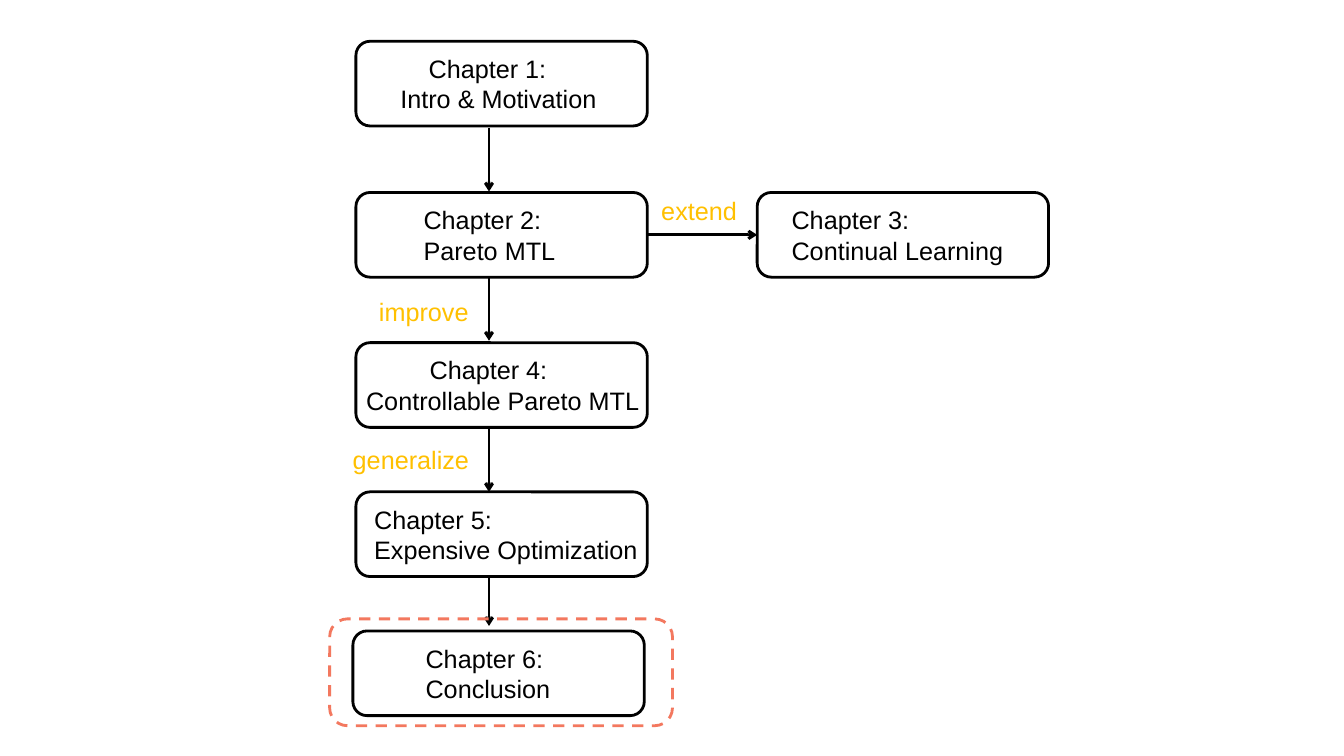
"""Build a chapter roadmap slide with boxes, arrows and relation labels."""
from dataclasses import dataclass

from lxml import etree
from pptx import Presentation
from pptx import util as u
from pptx.dml.color import RGBColor
from pptx.enum import dml, shapes, text
from pptx.oxml.ns import qn

CHAPTERS = [
    {"lines": ["Chapter 1:", "Intro & Motivation"], "at": (3.53, 0.41), "inset": 0.4, "indent": 0.28},
    {"lines": ["Chapter 2:", "Pareto MTL"], "at": (3.53, 1.91), "inset": 0.63, "indent": 0},
    {"lines": ["Chapter 3:", "Continual Learning"], "at": (7.51, 1.91), "inset": 0.3, "indent": 0},
    {"lines": ["Chapter 4:", "Controllable Pareto MTL"], "at": (3.53, 3.4), "inset": 0.06, "indent": 0.63},
    {"lines": ["Chapter 5:", "Expensive Optimization"], "at": (3.53, 4.88), "inset": 0.14, "indent": 0},
    {"lines": ["Chapter 6:", "Conclusion"], "at": (3.5, 6.26), "inset": 0.68, "indent": 0},
]
RELATIONS = [
    ("extend", 6.46, 1.89, 0.95),
    ("improve", 3.66, 2.89, 1.09),
    ("generalize", 3.4, 4.36, 1.35),
]
DOWN_ARROWS = [(1.27, 1.9), (2.75, 3.38), (4.24, 4.88), (5.72, 6.21)]
ARROW_X = 4.85
BOX_SIZE = (2.89, 0.84)
LABEL_HEIGHT = 0.4
HIGHLIGHT = (3.27, 6.14, 3.4, 1.06)


@dataclass(frozen=True)
class Theme:
    """Hold the colours and type sizes of the slide."""
    ink: RGBColor = RGBColor(0, 0, 0)
    relation: RGBColor = RGBColor(0xFF, 0xC0, 0x00)
    highlight: RGBColor = RGBColor(0xF3, 0x78, 0x5F)
    font: str = "Arial"
    size: u.Length = u.Pt(18)
    line: u.Length = u.Pt(2)


THEME = Theme()


def apply(target, values):
    """Set each attribute of the target from a dict."""
    for name, value in values.items():
        setattr(target, name, value)


def write(shape, lines, color, frame_format):
    """Write left-aligned lines into a shape."""
    frame = shape.text_frame
    apply(frame, frame_format)
    frame.text = "\n".join(lines)
    for paragraph in frame.paragraphs:
        paragraph.alignment = text.PP_ALIGN.LEFT
        apply(paragraph.font, {"name": THEME.font, "size": THEME.size})
        paragraph.font.color.rgb = color
    return frame


def add_outline(slide, bounds, color):
    """Add an unfilled rounded rectangle."""
    shape = slide.shapes.add_shape(shapes.MSO_SHAPE.ROUNDED_RECTANGLE, *map(u.Inches, bounds))
    shape.shadow.inherit = False
    shape.fill.background()
    shape.line.color.rgb = color
    shape.line.width = THEME.line
    return shape


def add_chapter(slide, chapter):
    """Add a chapter box with its two lines of text."""
    shape = add_outline(slide, (*chapter["at"], *BOX_SIZE), THEME.ink)
    frame = write(shape, chapter["lines"], THEME.ink, {
        "word_wrap": True,
        "vertical_anchor": text.MSO_ANCHOR.MIDDLE,
        "margin_left": u.Inches(chapter["inset"]),
        "margin_right": 0,
        "margin_top": 0,
        "margin_bottom": 0,
    })
    properties = frame.paragraphs[0]._p.get_or_add_pPr()
    properties.set("indent", str(u.Inches(chapter["indent"])))
    return shape


def add_arrow(slide, start, end):
    """Add a straight arrow between two points in inches."""
    arrow = slide.shapes.add_connector(
        shapes.MSO_CONNECTOR.STRAIGHT, *map(u.Inches, (*start, *end)))
    arrow.line.color.rgb = THEME.ink
    arrow.line.width = THEME.line
    etree.SubElement(arrow.line._get_or_add_ln(), qn("a:tailEnd"), type="arrow")
    etree.SubElement(arrow._element.spPr, qn("a:effectLst"))
    return arrow


def add_relation(slide, label, left, top, width):
    """Add a one-line relation label beside an arrow."""
    bounds = map(u.Inches, (left, top, width, LABEL_HEIGHT))
    write(slide.shapes.add_textbox(*bounds), [label], THEME.relation,
          {"word_wrap": True, "margin_right": 0})


def main():
    """Create and save the presentation."""
    presentation = Presentation()
    apply(presentation, {"slide_width": u.Inches(13.33), "slide_height": u.Inches(7.5)})
    slide = presentation.slides.add_slide(presentation.slide_layouts[6])
    boxes = [add_chapter(slide, chapter) for chapter in CHAPTERS]
    for top, bottom in DOWN_ARROWS:
        add_arrow(slide, (ARROW_X, top), (ARROW_X, bottom))
    pareto, continual = boxes[1:3]
    middle = CHAPTERS[1]["at"][1] + BOX_SIZE[1] / 2
    extension = add_arrow(
        slide, (CHAPTERS[1]["at"][0] + BOX_SIZE[0], middle), (CHAPTERS[2]["at"][0], middle))
    extension.begin_connect(pareto, 3)
    extension.end_connect(continual, 1)
    for relation in RELATIONS:
        add_relation(slide, *relation)
    add_outline(slide, HIGHLIGHT, THEME.highlight).line.dash_style = dml.MSO_LINE.DASH
    presentation.save("out.pptx")


if __name__ == "__main__":
    main()
